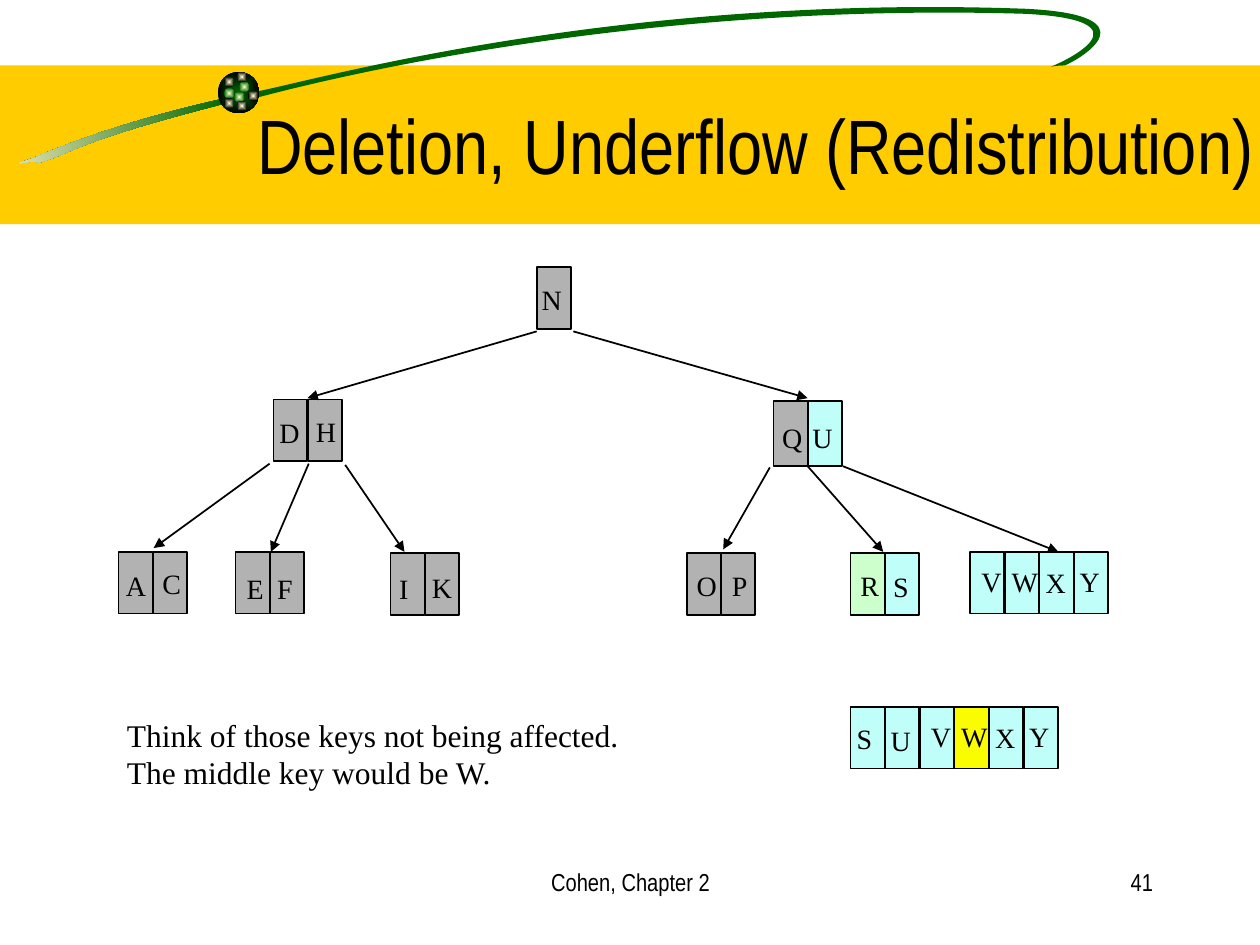
import math
from lxml import etree
from pptx import Presentation
from pptx.dml.color import RGBColor
from pptx.enum import shapes, text
from pptx.oxml import parse_xml
from pptx.oxml.ns import nsdecls, qn
from pptx.util import Inches, Pt

GREEN, BLACK, WHITE, CREAM = "006600", "000000", "FFFFFF", "FFFFCC"
GRAY, CYAN, MINT, YELLOW = "B2B2B2", "C0FEF9", "CCFFCC", "FAFD00"
SERIF, NARROW = "Times New Roman", "Arial Narrow"
CELL_W, CELL_H = 0.27, 0.49
PITCH = 1.1 / 4  # four cells span 1.1 inches
LABEL_H = 0.36
LABEL_WIDTHS = {"W": 0.41, "C": 0.35, "R": 0.35, "E": 0.33,
                "F": 0.32, "P": 0.32, "S": 0.32, "I": 0.27}

# left, top, cell height, cells as (key, fill, label left, label top)
NODES = [
    (4.26, 2.12, CELL_H, [("N", GRAY, 4.2, 2.19)]),
    (2.17, 3.17, CELL_H, [("D", GRAY, 2.12, 3.25), ("H", GRAY, 2.41, 3.24)]),
    (6.14, 3.18, 0.52, [("Q", GRAY, 6.11, 3.29), ("U", CYAN, 6.35, 3.29)]),
    (0.94, 4.38, CELL_H, [("A", GRAY, 0.9, 4.46), ("C", GRAY, 1.19, 4.45)]),
    (1.87, 4.38, CELL_H, [("E", GRAY, 1.86, 4.49), ("F", GRAY, 2.1, 4.49)]),
    (3.1, 4.39, CELL_H, [("I", GRAY, 3.07, 4.49), ("K", GRAY, 3.33, 4.48)]),
    (5.45, 4.39, CELL_H, [("O", GRAY, 5.43, 4.46), ("P", GRAY, 5.71, 4.46)]),
    (6.75, 4.39, CELL_H, [("R", MINT, 6.73, 4.46), ("S", CYAN, 6.99, 4.47)]),
    (7.7, 4.38, CELL_H, [("V", CYAN, 7.69, 4.43), ("W", CYAN, 7.93, 4.43),
                         ("X", CYAN, 8.2, 4.44), ("Y", CYAN, 8.47, 4.43)]),
    (6.75, 5.61, CELL_H, [("S", CYAN, 6.7, 5.68), ("U", CYAN, 6.97, 5.69),
                          ("V", CYAN, 7.29, 5.66), ("W", YELLOW, 7.53, 5.66),
                          ("X", CYAN, 7.8, 5.67), ("Y", CYAN, 8.07, 5.66)]),
]

# parent end, child end
ARROWS = [
    ((4.26, 2.63), (2.44, 3.16)), ((4.55, 2.63), (6.41, 3.16)),
    ((2.14, 3.68), (1.22, 4.35)), ((2.45, 3.68), (2.15, 4.38)),
    ((2.74, 3.69), (3.21, 4.38)), ((6.11, 3.71), (5.74, 4.36)),
    ((6.41, 3.7), (7.01, 4.38)), ((6.69, 3.7), (8.4, 4.38)),
]

TILT = -8.5
# start point, then cubic curves as two control points and an end point
TAIL_CENTER = (0.89, 1.06)
TAIL = [(1.78, 0.78),
        (0.91, 0.98), (0.49, 1.16), (0.25, 1.26),
        (0.01, 1.34), (0.26, 1.26), (0.31, 1.29),
        (0.57, 1.22), (0.57, 1.13), (1.79, 0.82)]
ORBIT_CENTER = (5.59, 0.4)
ORBIT = [(2.02, 0.73),
         (2.46, 0.65), (4.86, -0.05), (8.14, 0.07),
         (9.17, 0.12), (8.57, 0.47), (8.45, 0.52),
         (8.45, 0.52), (8.38, 0.52), (8.34, 0.53),
         (8.44, 0.49), (9.16, 0.16), (8.13, 0.11),
         (5.48, 0.03), (3.2, 0.47), (2.06, 0.77)]

# left, top, edge colour of each light on the ball
LIGHTS = [(1.9, 0.65, GREEN), (1.78, 0.61, BLACK), (1.78, 0.7, GREEN),
          (1.86, 0.73, GREEN), (1.97, 0.72, BLACK), (1.88, 0.8, BLACK),
          (1.78, 0.78, BLACK), (1.88, 0.57, BLACK)]

# text, box, size, font, alignment, anchor
TITLE = ("Deletion, Underflow (Redistribution)", (1.75, 0.31, 8.5, 1.25), 44, NARROW,
         text.PP_ALIGN.CENTER, text.MSO_ANCHOR.BOTTOM)
NOTES = [
    ("Think of those keys not being affected.\vThe middle key would be W.",
     (0.91, 5.63, 4.96, 0.7), 18, SERIF, text.PP_ALIGN.LEFT),
    ("Cohen, Chapter 2", (3.42, 6.83, 3.17, 0.5), 14, NARROW, text.PP_ALIGN.CENTER),
    ("41", (7.17, 6.83, 2.08, 0.5), 14, NARROW, text.PP_ALIGN.RIGHT),
]

prs = Presentation()
prs.slide_width, prs.slide_height = Inches(10), Inches(7.5)
s = prs.slides.add_slide(prs.slide_layouts[6])


def rgb(color):
    return RGBColor.from_string(color)


def style(sp, fill=None, line=None):
    sp.shadow.inherit = False
    if fill:
        sp.fill.solid()
        sp.fill.fore_color.rgb = rgb(fill)
    if line:
        sp.line.color.rgb = rgb(line)
        sp.line.width = Pt(1)
    else:
        sp.line.fill.background()


def add_preset(kind, box, fill=None, line=None):
    sp = s.shapes.add_shape(kind, *map(Inches, box))
    style(sp, fill, line)
    return sp


def gradient(sp, start, end, direction):
    """Fill sp with two colours; direction is the a:lin or a:path element."""
    sp.fill.background()
    old = sp._element.spPr.find(qn("a:noFill"))
    old.getparent().replace(old, parse_xml(
        f'<a:gradFill rotWithShape="1" {nsdecls("a")}><a:gsLst>'
        f'<a:gs pos="0"><a:srgbClr val="{start}"/></a:gs>'
        f'<a:gs pos="100000"><a:srgbClr val="{end}"/></a:gs>'
        f'</a:gsLst>{direction}</a:gradFill>'))


def add_ball(left, top, size, inner, outer):
    sp = add_preset(shapes.MSO_SHAPE.OVAL, (left, top, size, size))
    gradient(sp, inner, outer, '<a:path path="rect"><a:fillToRect l="50000" '
                               't="50000" r="50000" b="50000"/></a:path>')


def curve_segments(sp):
    """Turn every three line segments of a freeform into one cubic curve."""
    lines = list(sp._element.iter(qn("a:lnTo")))
    for i in range(0, len(lines), 3):
        cubic = etree.Element(qn("a:cubicBezTo"))
        lines[i].addprevious(cubic)
        for line in lines[i:i + 3]:
            cubic.append(line[0])
            line.getparent().remove(line)


def add_swoosh(points, center, fill=None):
    """Draw the outline level, then tilt the shape into place."""
    cx, cy = center
    cos, sin = math.cos(math.radians(-TILT)), math.sin(math.radians(-TILT))
    level = [(Inches(cx + (x - cx) * cos - (y - cy) * sin),
              Inches(cy + (x - cx) * sin + (y - cy) * cos))
             for x, y in points]
    builder = s.shapes.build_freeform(*level[0])
    builder.add_line_segments(level[1:], close=True)
    sp = builder.convert_to_shape()
    curve_segments(sp)
    sp.rotation = TILT
    style(sp, fill)
    return sp


def add_text(words, box, size, font, align=text.PP_ALIGN.LEFT,
             anchor=text.MSO_ANCHOR.TOP, wrap=True):
    tf = s.shapes.add_textbox(*map(Inches, box)).text_frame
    tf.text = words
    tf.word_wrap = wrap
    tf.vertical_anchor = anchor
    p = tf.paragraphs[0]
    p.alignment = align
    for r in p.runs:
        r.font.size, r.font.name = Pt(size), font
        r.font.color.rgb = rgb(BLACK)


def add_arrow(start, end):
    c = s.shapes.add_connector(shapes.MSO_CONNECTOR.STRAIGHT,
                               *map(Inches, start + end))
    c.line.color.rgb = rgb(BLACK)
    c.line.width = Pt(1)
    etree.SubElement(c.line._get_or_add_ln(), qn("a:tailEnd"), type="triangle")
    etree.SubElement(c._element.spPr, qn("a:effectLst"))


add_preset(shapes.MSO_SHAPE.RECTANGLE, (0, 0.52, 10, 1.26), "FFCC00")
gradient(add_swoosh(TAIL, TAIL_CENTER), GREEN, "F5EBC1", '<a:lin ang="10800000"/>')
add_swoosh(ORBIT, ORBIT_CENTER, GREEN)
add_ball(1.73, 0.57, 0.33, GREEN, BLACK)
for left, top, edge in LIGHTS:
    add_ball(left, top, 0.08, CREAM, edge)
veil = add_preset(shapes.MSO_SHAPE.RECTANGLE, (0.74, 2.06, 1.22, 5.44), WHITE)
etree.SubElement(next(veil._element.spPr.iter(qn("a:srgbClr"))), qn("a:alpha"), val="50000")
add_text(*TITLE)

for left, top, height, cells in NODES:
    for i, (key, fill, label_x, label_y) in enumerate(cells):
        add_preset(shapes.MSO_SHAPE.RECTANGLE,
                   (left + i * PITCH, top, CELL_W, height), fill, BLACK)
    for key, fill, label_x, label_y in cells:
        add_text(key, (label_x, label_y, LABEL_WIDTHS.get(key, 0.36), LABEL_H),
                 16, SERIF, wrap=False)
for start, end in ARROWS:
    add_arrow(start, end)
for note in NOTES:
    add_text(*note)

prs.save("out.pptx")
